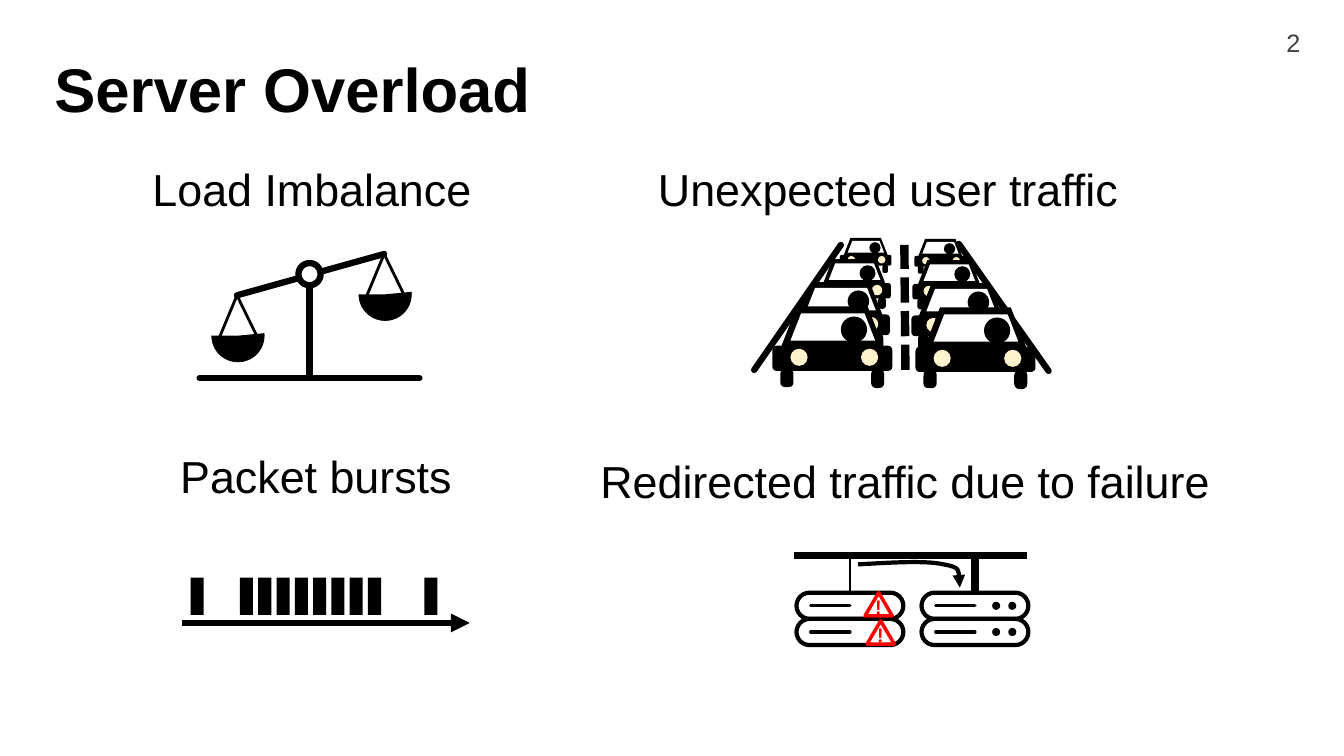
from dataclasses import dataclass

import pptx
import pptx.dml.color
import pptx.enum.dml
import pptx.enum.shapes
import pptx.enum.text
import pptx.oxml
import pptx.oxml.ns
import pptx.util

Inches = pptx.util.Inches
Shape = pptx.enum.shapes.MSO_SHAPE
Align = pptx.enum.text.PP_ALIGN
STRAIGHT = pptx.enum.shapes.MSO_CONNECTOR.STRAIGHT
qn = pptx.oxml.ns.qn


@dataclass(frozen=True)
class Theme:
    font: str = "Arial"
    ink: str = "000000"
    paper: str = "FFFFFF"
    alert: str = "FF0000"
    headlight: str = "FFF2CC"
    number: str = "404040"
    title_size: int = 44
    label_size: int = 32
    number_size: int = 18
    alert_size: int = 14


theme = Theme()


def write(box, text, size, color=theme.ink, bold=False, align=Align.LEFT, wrap=True, inset=None):
    frame = box.text_frame
    frame.word_wrap = wrap
    if inset is not None:
        frame.margin_left = frame.margin_right = frame.margin_top = frame.margin_bottom = inset
    para = frame.paragraphs[0]
    para.alignment = align
    span = para.add_run()
    span.text = text
    span.font.name = theme.font
    span.font.size = pptx.util.Pt(size)
    span.font.bold = bold
    span.font.color.rgb = pptx.dml.color.RGBColor.from_string(color)
    return para


def paint(item, fill=None, line=None, weight=1, cap="flat", dash=None, arrow=False):
    """Set fill, outline and arrowhead of a shape or connector, and drop its shadow."""
    if line:
        item.line.color.rgb = pptx.dml.color.RGBColor.from_string(line)
        item.line.width = pptx.util.Pt(weight)
        if dash:
            item.line.dash_style = dash
        outline = item.element.spPr.find(qn("a:ln"))
        outline.set("cap", cap)
        if arrow:
            outline.append(pptx.oxml.parse_xml(
                f'<a:tailEnd {pptx.oxml.ns.nsdecls("a")} type="triangle"/>'))
    else:
        item.line.fill.background()
    if hasattr(item, "fill"):
        item.shadow.inherit = False
        if fill:
            item.fill.solid()
            item.fill.fore_color.rgb = pptx.dml.color.RGBColor.from_string(fill)
        else:
            item.fill.background()
    else:
        item.element.spPr.append(pptx.oxml.parse_xml(
            f'<a:effectLst {pptx.oxml.ns.nsdecls("a")}/>'))
    return item


deck = pptx.Presentation()
deck.slide_width, deck.slide_height = Inches(13.33), Inches(7.5)
page = deck.slides.add_slide(deck.slide_layouts[5])

# Title, page number and the four headings
title = page.shapes.title
title.left, title.top, title.width, title.height = map(Inches, (0.44, 0.19, 11.5, 1.45))
title.text_frame.vertical_anchor = pptx.enum.text.MSO_ANCHOR.MIDDLE
write(title, "Server Overload", theme.title_size, bold=True).line_spacing = 0.9

number = page.shapes.add_textbox(*map(Inches, (12.66, 0.22, 0.34, 0.4)))
write(number, "2", theme.number_size, theme.number, wrap=False)

for left, top, width, text in (
    (1.2, 1.56, 3.79, "Load Imbalance"),
    (6.21, 1.56, 5.2, "Unexpected user traffic"),
    (1.24, 4.4, 3.79, "Packet bursts"),
    (5.77, 4.45, 6.42, "Redirected traffic due to failure"),
):
    label = page.shapes.add_textbox(*map(Inches, (left, top, width, 0.64)))
    write(label, text, theme.label_size, align=Align.CENTER)

# Packet bursts: a time axis with bars
burst = page.shapes.add_group_shape().shapes
axis = burst.add_connector(STRAIGHT, *map(Inches, (1.81, 6.18, 4.66, 6.18)))
paint(axis, line=theme.ink, weight=4.5, arrow=True)
for left in (1.89, *(2.38 + 1.27 * step / 7 for step in range(8)), 4.21):
    packet = burst.add_shape(Shape.RECTANGLE, *map(Inches, (left, 5.73, 0.13, 0.37)))
    paint(packet, fill=theme.ink)

# Redirected traffic: two racks below a bus, the left one failed
network = page.shapes.add_group_shape().shapes
bus = network.add_connector(STRAIGHT, *map(Inches, (7.88, 5.51, 10.19, 5.51)))
paint(bus, line=theme.ink, weight=4.5)
for rack_left, failed, link_weight in ((7.9, True, 2), (9.14, False, 6)):
    servers = []
    for top in (5.88, 6.14):
        server = network.add_shape(
            Shape.ROUNDED_RECTANGLE, *map(Inches, (rack_left, top, 1.06, 0.26)))
        server.adjustments[0] = 0.5
        servers.append(paint(server, fill=theme.paper, line=theme.ink, weight=3))
        slot = network.add_connector(
            STRAIGHT, *map(Inches, (rack_left + 0.14, top + 0.13, rack_left + 0.53, top + 0.13)))
        paint(slot, line=theme.ink, weight=2.25, cap="rnd")
        for offset in () if failed else (0.7, 0.86):
            lamp = network.add_shape(
                Shape.OVAL, *map(Inches, (rack_left + offset, top + 0.09, 0.08, 0.08)))
            paint(lamp, fill=theme.ink)
    middle = rack_left + 0.53
    link = network.add_connector(STRAIGHT, *map(Inches, (middle, 5.88, middle, 5.51)))
    link.begin_connect(servers[0], 0)
    paint(link, line=theme.ink, weight=link_weight)

curve = ((8.51, 5.6), (8.85, 5.58), (9.19, 5.56), (9.36, 5.6),
         (9.53, 5.63), (9.52, 5.73), (9.52, 5.83))
points = [(Inches(x), Inches(y)) for x, y in curve]
builder = network.build_freeform(*points[0])
builder.add_line_segments(points[1:], close=False)
detour = builder.convert_to_shape()
paint(detour, line=theme.ink, weight=3, arrow=True)
# Each three straight segments become one Bézier segment
segments = list(detour.element.iter(qn("a:lnTo")))
for first in range(0, len(segments), 3):
    bend = pptx.oxml.parse_xml(f'<a:cubicBezTo {pptx.oxml.ns.nsdecls("a")}/>')
    segments[first].addprevious(bend)
    for segment in segments[first:first + 3]:
        bend.append(segment[0])
        segment.getparent().remove(segment)

for left, top in ((8.58, 5.88), (8.6, 6.16)):
    warning = network.add_shape(
        Shape.ISOSCELES_TRIANGLE, *map(Inches, (left, top, 0.27, 0.23)))
    paint(warning, line=theme.alert, weight=2.5)
    mark = network.add_textbox(*map(Inches, (left + 0.1, top + 0.02, 0.06, 0.24)))
    write(mark, "!", theme.alert_size, theme.alert, bold=True,
          align=Align.CENTER, wrap=False, inset=0)

# Load imbalance: a tilted pair of scales
pans = ((2.35, 2.93), (3.81, 2.52))
for ends, weight in (
    ((1.98, 3.75, 4.16, 3.75), 4.5),
    ((3.07, 3.75, 3.07, 2.85), 4.5),
    ((3.2, 2.69, *pans[1]), 4.5),
    ((*pans[0], 2.96, 2.76), 4.5),
    *(((x, y, x + reach, y + 0.41), 2) for x, y in pans for reach in (-0.17, 0.2)),
):
    beam = page.shapes.add_connector(STRAIGHT, *map(Inches, ends))
    paint(beam, line=theme.ink, weight=weight, cap="rnd")
pivot = page.shapes.add_shape(Shape.OVAL, *map(Inches, (2.96, 2.61, 0.22, 0.22)))
paint(pivot, line=theme.ink, weight=4.5)
for x, y in pans:
    bowl = page.shapes.add_shape(Shape.ARC, *map(Inches, (x - 0.25, y + 0.14, 0.52, 0.52)))
    bowl.adjustments[0], bowl.adjustments[1] = 212.77, 107.94
    paint(bowl, fill=theme.ink, line=theme.ink, weight=0.5)

# User traffic: two lanes of cars growing towards the viewer
road = page.shapes.add_group_shape().shapes
for ends, weight, cap, dash in (
    ((7.48, 3.67, 8.34, 2.43), 4.5, "rnd", None),
    ((10.4, 3.68, 9.51, 2.42), 4.5, "rnd", None),
    ((8.98, 3.67, 8.97, 2.43), 6, "flat", pptx.enum.dml.MSO_LINE.SQUARE_DOT),
):
    edge = road.add_connector(STRAIGHT, *map(Inches, ends))
    paint(edge, line=theme.ink, weight=weight, cap=cap, dash=dash)

for scale, top, lefts, dim_outer in (
    (0.43, 2.36, (8.33, 9.07), False),
    (0.61, 2.57, (8.11, 9.05), True),
    (0.82, 2.8, (7.85, 9.04), True),
    (1, 3.04, (7.66, 9.08), False),
):
    for lane, left in enumerate(lefts):
        lights = [theme.headlight, theme.headlight]
        if dim_outer:
            lights[lane] = theme.paper
        for kind, x, y, width, height, color, adjust in (
            (Shape.TRAPEZOID, 0.08, 0, 1.03, 0.42, theme.ink, 0.39),
            (Shape.TRAPEZOID, 0.18, 0.07, 0.84, 0.27, theme.paper, 0.39),
            (Shape.ROUNDED_RECTANGLE, 0, 0.39, 1.19, 0.25, theme.ink, 0.17),
            (Shape.OVAL, 0.18, 0.42, 0.17, 0.17, lights[0], None),
            (Shape.OVAL, 0.88, 0.42, 0.17, 0.17, lights[1], None),
            (Shape.ROUNDED_RECTANGLE, 0.08, 0.62, 0.13, 0.18, theme.ink, 0.33),
            (Shape.ROUNDED_RECTANGLE, 0.98, 0.62, 0.13, 0.19, theme.ink, 0.39),
            (Shape.OVAL, 0.68, 0.1, 0.26, 0.26, theme.ink, None),
        ):
            part = road.add_shape(kind, *map(Inches, (
                left + x * scale, top + 0.01 * lane + y * scale, width * scale, height * scale)))
            if adjust:
                part.adjustments[0] = adjust
            paint(part, fill=color)

deck.save("out.pptx")
